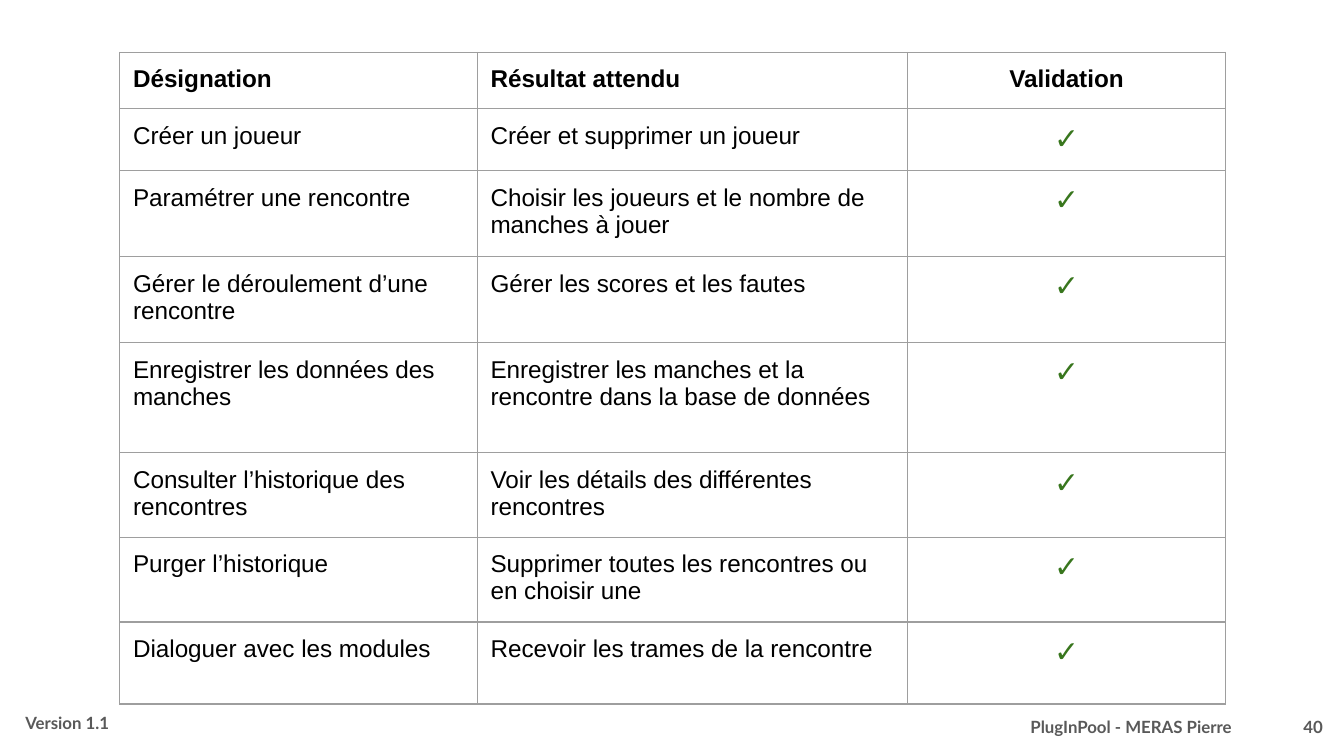
from lxml.etree import SubElement
from pptx import Presentation
from pptx.dml.color import RGBColor
from pptx.enum.text import MSO_ANCHOR, PP_ALIGN
from pptx.oxml.ns import qn
from pptx.util import Inches, Pt

BLACK = RGBColor(0x00, 0x00, 0x00)
GREEN = RGBColor(0x38, 0x76, 0x1D)
GREY = RGBColor(0x59, 0x59, 0x59)
BORDER = RGBColor(0x9E, 0x9E, 0x9E)

COL_WIDTHS = [2.66, 3.2, 2.37]
ROW_HEIGHTS = [0.42, 0.46, 0.64, 0.64, 0.82, 0.63, 0.63, 0.61]
HEADERS = ("Désignation", "Résultat attendu", "Validation")
TESTS = [
    ("Créer un joueur", "Créer et supprimer un joueur"),
    ("Paramétrer une rencontre", "Choisir les joueurs et le nombre de manches à jouer"),
    ("Gérer le déroulement d’une rencontre", "Gérer les scores et les fautes"),
    ("Enregistrer les données des manches",
     "Enregistrer les manches et la rencontre dans la base de données"),
    ("Consulter l’historique des rencontres", "Voir les détails des différentes rencontres"),
    ("Purger l’historique", "Supprimer toutes les rencontres ou en choisir une"),
    ("Dialoguer avec les modules", "Recevoir les trames de la rencontre"),
]
FOOTERS = [
    ("Version 1.1", (0.09, 5.23, 0.9, 0.35), PP_ALIGN.LEFT, MSO_ANCHOR.TOP),
    ("PlugInPool - MERAS Pierre \t 40", (7.47, 5.19, 2.47, 0.43),
     PP_ALIGN.RIGHT, MSO_ANCHOR.MIDDLE),
]


def write(p, text, font, size, color, bold, align):
    p.alignment = align
    r = p.add_run()
    r.text = text
    r.font.name = font
    r.font.size = Pt(size)
    r.font.bold = bold
    r.font.color.rgb = color


def add_borders(cell):
    """Draw the four cell edges; they must come before the fill."""
    tcPr = cell._tc.get_or_add_tcPr()
    for edge in ("a:lnL", "a:lnR", "a:lnT", "a:lnB"):
        ln = SubElement(tcPr, qn(edge), w=str(Pt(0.75)))
        fill = SubElement(ln, qn("a:solidFill"))
        SubElement(fill, qn("a:srgbClr"), val=str(BORDER))


prs = Presentation()
prs.slide_width = Inches(10)
prs.slide_height = Inches(10 * 9 / 16)
s = prs.slides.add_slide(prs.slide_layouts[6])

# Validation table
rows = [HEADERS] + [test + ("✓",) for test in TESTS]
table = s.shapes.add_table(
    len(rows), len(COL_WIDTHS), Inches(0.89), Inches(0.39),
    Inches(sum(COL_WIDTHS)), Inches(sum(ROW_HEIGHTS))).table
table.first_row = False
table.horz_banding = False
for column, width in zip(table.columns, COL_WIDTHS):
    column.width = Inches(width)
for row, height in zip(table.rows, ROW_HEIGHTS):
    row.height = Inches(height)

for i, texts in enumerate(rows):
    for j, text in enumerate(texts):
        cell = table.cell(i, j)
        cell.margin_left = cell.margin_right = Inches(0.1)
        cell.margin_top = cell.margin_bottom = Inches(0.1)
        add_borders(cell)
        cell.fill.background()
        size, color = (16, GREEN) if text == "✓" else (13, BLACK)
        align = PP_ALIGN.CENTER if j == 2 else PP_ALIGN.LEFT
        write(cell.text_frame.paragraphs[0], text, "Arial", size, color, i == 0, align)

# Footer
for text, box, align, anchor in FOOTERS:
    sp = s.shapes.add_textbox(*map(Inches, box))
    tf = sp.text_frame
    tf.word_wrap = True
    tf.vertical_anchor = anchor
    tf.margin_left = tf.margin_right = Inches(0.1)
    tf.margin_top = tf.margin_bottom = Inches(0.1)
    write(tf.paragraphs[0], text, "Lato", 9, GREY, True, align)

prs.save("out.pptx")
